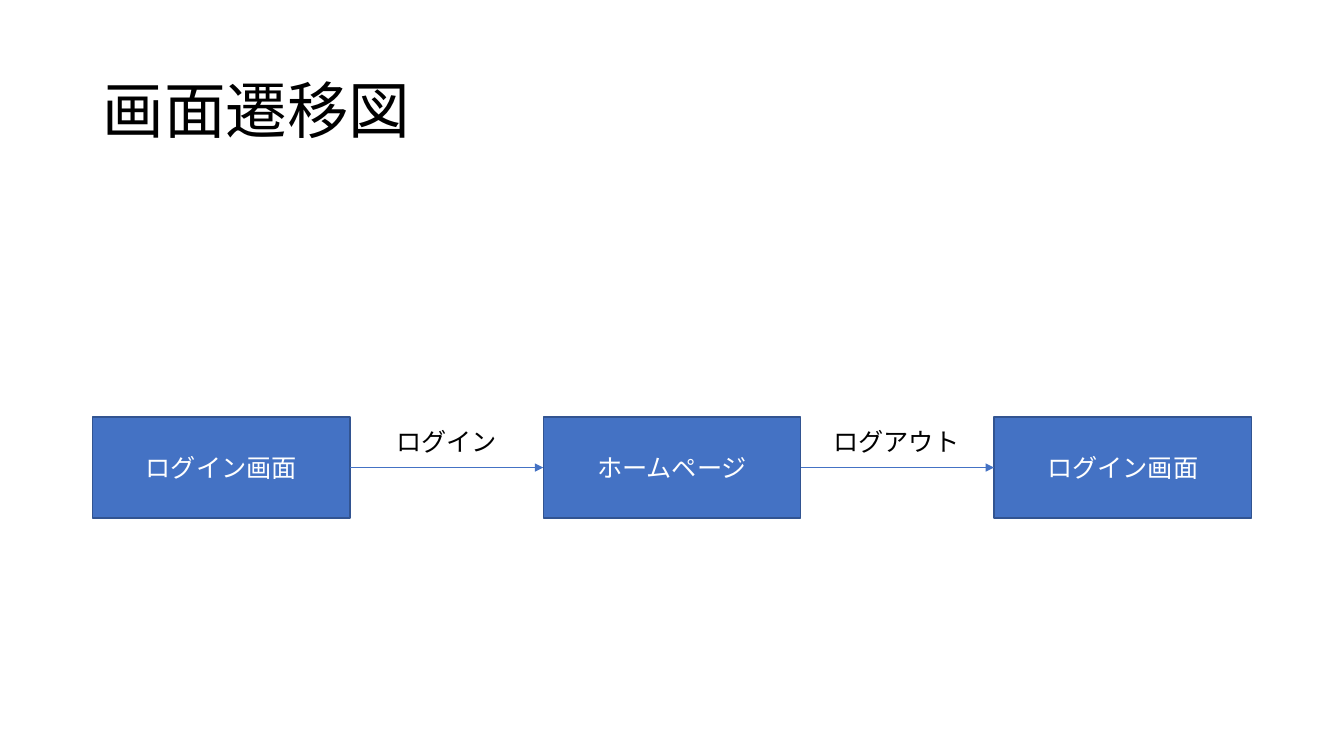
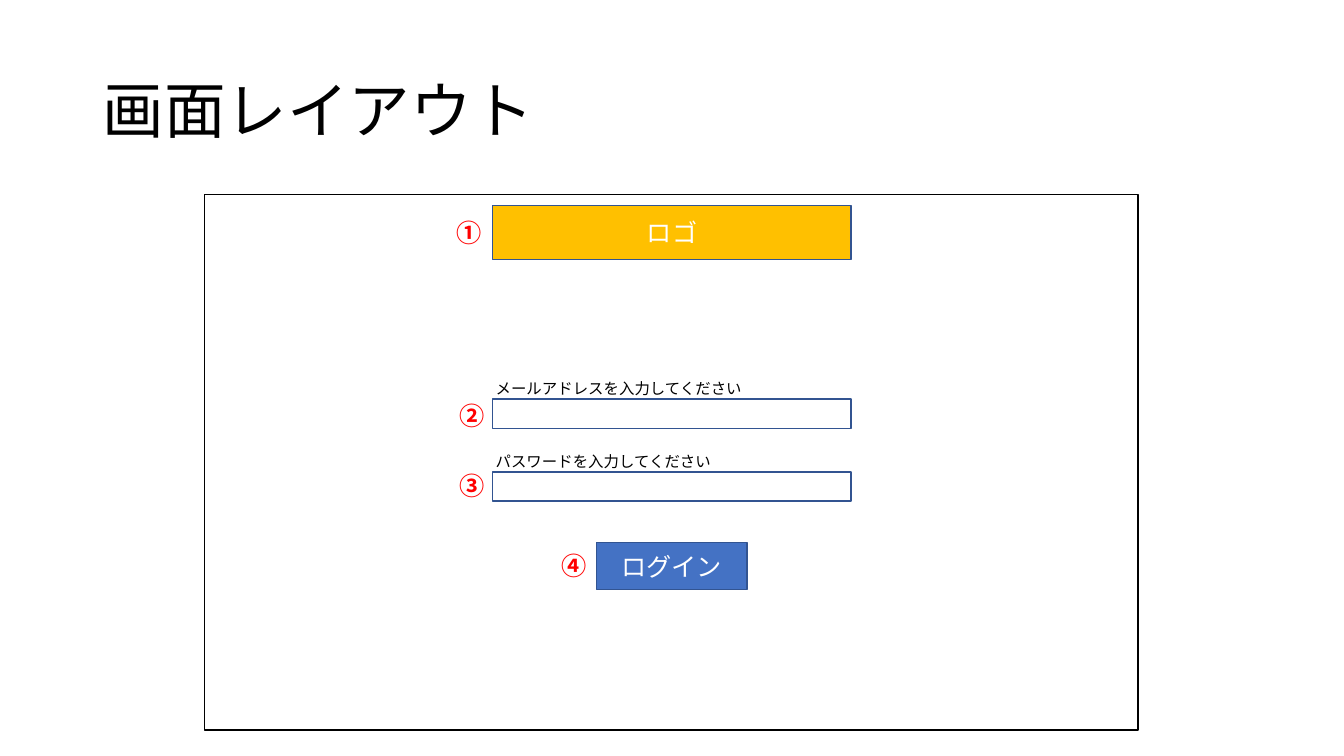
from pptx import Presentation
from pptx import util as u
from pptx.dml.color import RGBColor
from pptx.enum import shapes, text
from pptx.oxml import ns
from lxml import etree

FONT = "Noto Sans CJK JP"
BLACK = RGBColor(0x00, 0x00, 0x00)
WHITE = RGBColor(0xFF, 0xFF, 0xFF)
RED = RGBColor(0xFF, 0x00, 0x00)
BLUE = RGBColor(0x44, 0x72, 0xC4)
NAVY = RGBColor(0x32, 0x54, 0x91)
AMBER = RGBColor(0xFF, 0xC0, 0x00)


def points(*lengths):
    return [u.Pt(length) for length in lengths]


def assign(target, values):
    for name, value in values.items():
        setattr(target, name, value)


class Deck:
    def __init__(self, width, height):
        self.prs = Presentation()
        assign(self.prs, {"slide_width": u.Pt(width), "slide_height": u.Pt(height)})
        self.slide = None

    def add_wording(self, frame, wording, color, size=18, bold=False, align=None):
        paragraph = frame.paragraphs[0]
        run = paragraph.add_run()
        run.text = wording
        assign(run.font, {"name": FONT, "size": u.Pt(size), "bold": bold})
        run.font.color.rgb = color
        east_asian = etree.SubElement(run.font._element, ns.qn("a:ea"))
        east_asian.set("typeface", FONT)
        if align is not None:
            paragraph.alignment = align
        return paragraph

    def titled_slide(self, wording):
        self.slide = self.prs.slides.add_slide(self.prs.slide_layouts[5])
        title = self.slide.shapes.title
        place = points(66, 28.75, 828, 104.4)
        assign(title, dict(zip(("left", "top", "width", "height"), place)))
        assign(title.text_frame, {
            "auto_size": text.MSO_AUTO_SIZE.NONE,
            "vertical_anchor": text.MSO_ANCHOR.MIDDLE,
            "word_wrap": True,
        })
        paragraph = self.add_wording(title.text_frame, wording, BLACK, 44,
                                     align=text.PP_ALIGN.LEFT)
        paragraph.line_spacing = 0.9

    def box(self, left, top, width, height, wording="", fill=BLUE, line=NAVY):
        rect = self.slide.shapes.add_shape(
            shapes.MSO_SHAPE.RECTANGLE, *points(left, top, width, height))
        rect.shadow.inherit = False
        rect.fill.solid()
        rect.fill.fore_color.rgb = fill
        rect.line.color.rgb = line
        rect.line.width = u.Pt(1)
        if wording:
            rect.text_frame.vertical_anchor = text.MSO_ANCHOR.MIDDLE
            self.add_wording(rect.text_frame, wording, WHITE,
                             align=text.PP_ALIGN.CENTER)
        return rect

    def label(self, left, top, width, height, wording, color=BLACK, size=18, bold=False):
        caption = self.slide.shapes.add_textbox(*points(left, top, width, height))
        assign(caption.text_frame, {
            "word_wrap": False,
            "auto_size": text.MSO_AUTO_SIZE.SHAPE_TO_FIT_TEXT,
        })
        self.add_wording(caption.text_frame, wording, color, size, bold)

    def arrow(self, source, target):
        link = self.slide.shapes.add_connector(
            shapes.MSO_CONNECTOR.STRAIGHT, *points(0, 0, 0, 0))
        link.begin_connect(source, 3)
        link.end_connect(target, 1)
        link.line.color.rgb = BLUE
        link.line.width = u.Pt(0.5)
        properties = link._element.spPr
        outline = properties.find(ns.qn("a:ln"))
        etree.SubElement(outline, ns.qn("a:tailEnd")).set("type", "triangle")
        etree.SubElement(properties, ns.qn("a:effectLst"))


deck = Deck(960, 540)

deck.titled_slide("画面遷移図")
SCREEN_WIDTH, SCREEN_STEP = 184, 322
screens = [
    deck.box(66 + SCREEN_STEP * index, 298, SCREEN_WIDTH, 72, name)
    for index, name in enumerate(("ログイン画面", "ホームページ", "ログイン画面"))
]
for source, target in zip(screens, screens[1:]):
    deck.arrow(source, target)
for left, width, action in ((275.8, 87.1, "ログイン"), (588.2, 105.1, "ログアウト")):
    deck.label(left, 301, width, 28.8, action)

deck.titled_slide("画面レイアウト")
FIELD_LEFT, FIELD_WIDTH = 352, 256
deck.box(146, 139, 667, 382.3, fill=WHITE, line=BLACK)
deck.box(FIELD_LEFT, 147, FIELD_WIDTH, 38.2, "ロゴ", fill=AMBER)
for top, prompt_top, prompt_width, prompt in (
    (285.1, 267.1, 192.2, "メールアドレスを入力してください"),
    (337, 319.7, 169.9, "パスワードを入力してください"),
):
    deck.box(FIELD_LEFT, top, FIELD_WIDTH, 20.9, fill=WHITE)
    deck.label(347, prompt_top, prompt_width, 20.9, prompt, size=11)
deck.box(426.2, 387.4, 107.3, 33.8, "ログイン")
markers = ((319, 151.9), (321.1, 282.2), (321.1, 332.6), (393.8, 389.5))
for number, (left, top) in zip("①②③④", markers):
    deck.label(left, top, 32.4, 28.8, number, RED, bold=True)

deck.prs.save("out.pptx")
